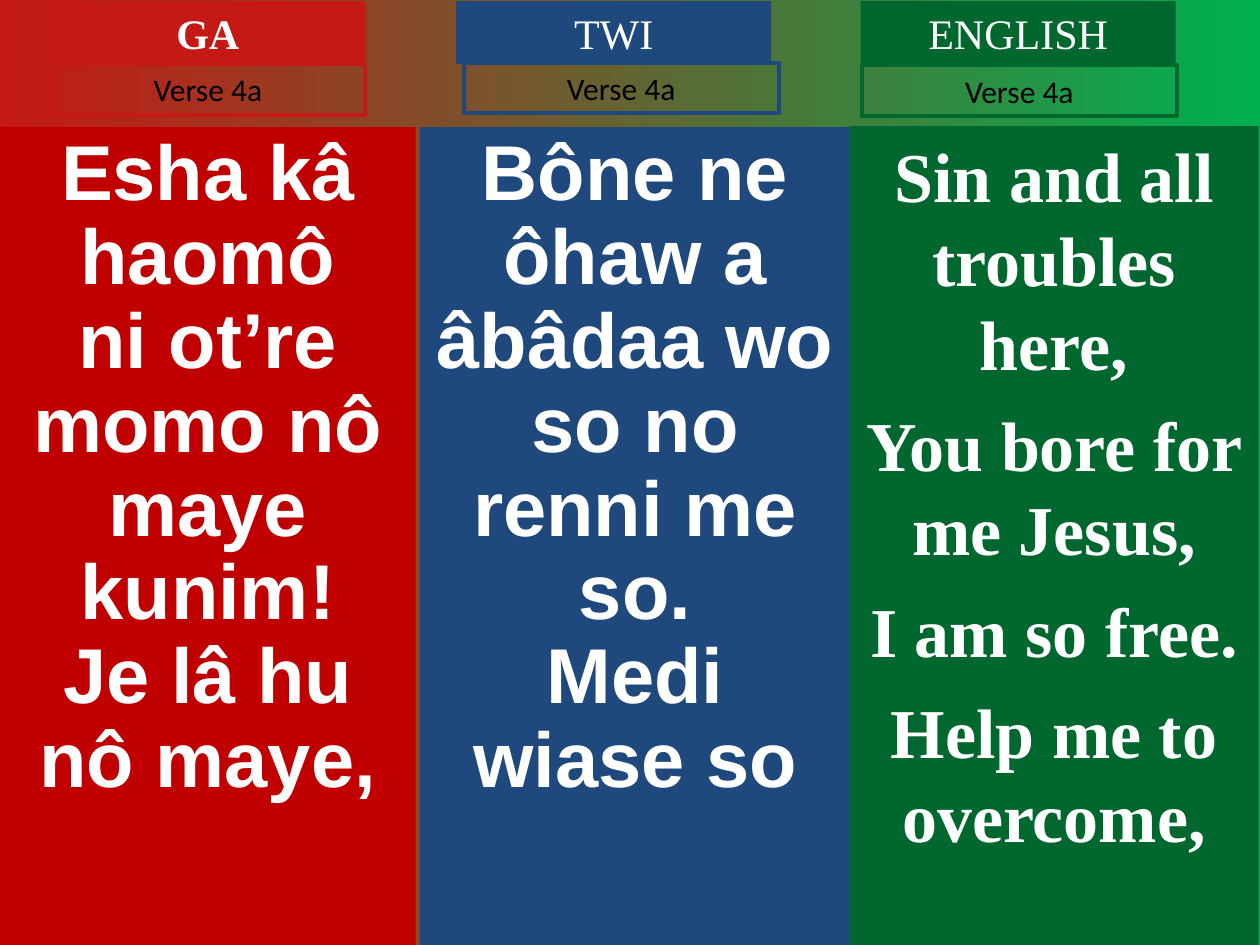
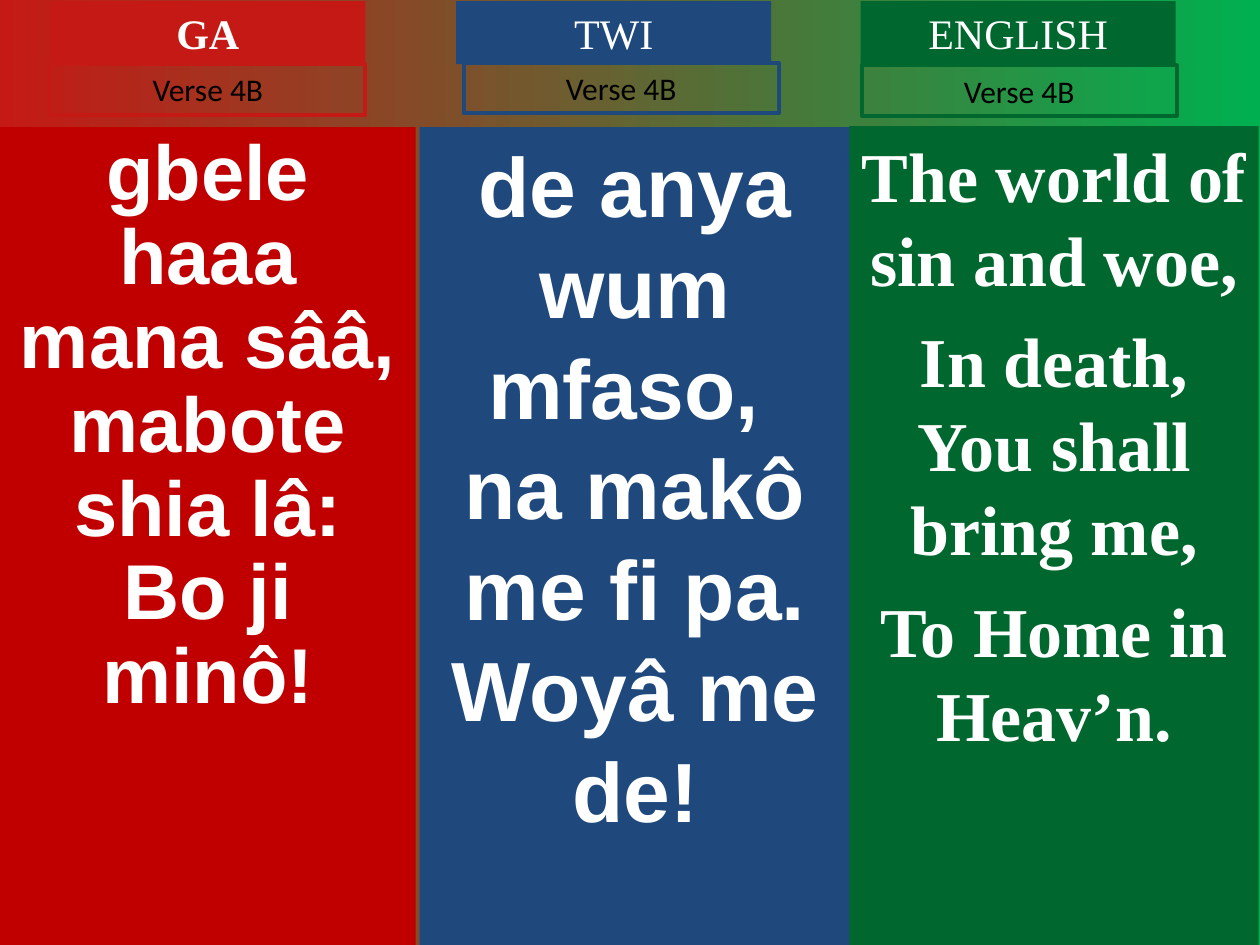
from collections import namedtuple

from pptx import Presentation
from pptx.dml.color import RGBColor
from pptx.enum.shapes import MSO_SHAPE as Shape
from pptx.enum.text import MSO_ANCHOR as Anchor, PP_ALIGN as Align
from pptx.util import Pt

WIDTH, HEIGHT = 720, 540
WHITE, BLACK = "FFFFFF", "000000"
RED, DARK_RED, BLUE, GREEN, BRIGHT_GREEN = "C51915", "C00000", "1F497D", "00682F", "00B050"
SERIF, SANS, LABEL = "Times New Roman", "Arial", "Calibri"
TAG_WIDTH, TAG_HEIGHT, LABEL_HEIGHT = 180, 36, 28.8

Box = namedtuple("Box", "left top width height")
Style = namedtuple("Style", "font size color bold line_spacing space_before",
                   defaults=(WHITE, False, None, 0))
Language = namedtuple("Language", "name box panel accent tag_offset label_offset label_top bold")

LANGUAGES = [
    Language("GA", Box(0, 72.7, 237.6, 467.3), DARK_RED, RED, 28.8, 28.8, 36.7, True),
    Language("TWI", Box(239.8, 72.7, 246.2, 467.3), BLUE, BLUE, 20.9, 25.2, 36, False),
    Language("ENGLISH", Box(485.3, 72, 234, 468.7), GREEN, GREEN, 6.5, 7.2, 37.4, False),
]

TIGHT = Style(SANS, 44.4, bold=True, line_spacing=0.9)
LARGE = Style(SANS, 48, bold=True)
SPACED = Style(SERIF, 40, bold=True, space_before=10)
LABEL_STYLE = Style(LABEL, 18, BLACK)

VERSES = [
    ("Verse 4a", [
        (TIGHT, ["Esha kâ haomô", "ni ot’re momo nô maye kunim!", "Je lâ hu nô maye,"]),
        (TIGHT, ["Bône ne ôhaw a âbâdaa wo so no renni me so.", "Medi wiase so"]),
        (SPACED, ["Sin and all troubles here,", "You bore for me Jesus,",
                  "I am so free.", "Help me to overcome,"]),
    ]),
    ("Verse 4B", [
        (TIGHT, ["gbele haaa mana sââ,", "mabote shia lâ:", "Bo ji minô!"]),
        (LARGE, ["de anya wum mfaso, ", "na makô me fi pa.", "Woyâ me de!"]),
        (SPACED, ["The world of sin and woe,", "In death, You shall bring me,",
                  "To Home in Heav’n."]),
    ]),
]


def rgb(value):
    """Turn a hex string into a colour."""
    return RGBColor.from_string(value)


def add_panel(slide, box, lines, style, fill=None, outline=None, anchor=Anchor.MIDDLE):
    """Add a rectangle holding centred paragraphs."""
    shape = slide.shapes.add_shape(Shape.RECTANGLE, *map(Pt, box))
    shape.shadow.inherit = False
    if fill:
        shape.fill.solid()
        shape.fill.fore_color.rgb = rgb(fill)
    else:
        shape.fill.background()
    if outline:
        shape.line.color.rgb = rgb(outline)
        shape.line.width = Pt(2.25)
    else:
        shape.line.fill.background()
    frame = shape.text_frame
    frame.word_wrap = True
    frame.vertical_anchor = anchor
    for index, line in enumerate(lines):
        paragraph = frame.add_paragraph() if index else frame.paragraphs[0]
        paragraph.text = line
        paragraph.alignment = Align.CENTER
        paragraph.line_spacing = style.line_spacing
        paragraph.space_before = Pt(style.space_before if index else 0)
        font = paragraph.font
        font.name, font.size, font.bold = style.font, Pt(style.size), style.bold
        font.color.rgb = rgb(style.color)


def add_language_column(slide, language, label, style, lines):
    """Add the verse panel, language tag and verse label of one language."""
    box = language.box
    tag = Box(box.left + language.tag_offset, 0.7, TAG_WIDTH, TAG_HEIGHT)
    label_box = Box(box.left + language.label_offset, language.label_top, TAG_WIDTH, LABEL_HEIGHT)
    add_panel(slide, box, lines, style, fill=language.panel, anchor=Anchor.TOP)
    add_panel(slide, tag, [language.name], Style(SERIF, 24, bold=language.bold),
              fill=language.accent)
    add_panel(slide, label_box, [label], LABEL_STYLE, outline=language.accent)


def paint_background(slide):
    """Fill the background with a red to green gradient."""
    fill = slide.background.fill
    fill.gradient()
    fill.gradient_angle = 0
    for stop, position, color in zip(fill.gradient_stops, (0, 1), (RED, BRIGHT_GREEN)):
        stop.position = position
        stop.color.rgb = rgb(color)


def add_verse_slide(presentation, label, texts):
    """Add one verse in the three languages."""
    slide = presentation.slides.add_slide(presentation.slide_layouts[6])
    paint_background(slide)
    for language, (style, lines) in zip(LANGUAGES, texts):
        add_language_column(slide, language, label, style, lines)


def main():
    """Build and save the presentation."""
    presentation = Presentation()
    presentation.slide_width, presentation.slide_height = Pt(WIDTH), Pt(HEIGHT)
    for label, texts in VERSES:
        add_verse_slide(presentation, label, texts)
    presentation.save("out.pptx")


if __name__ == "__main__":
    main()
